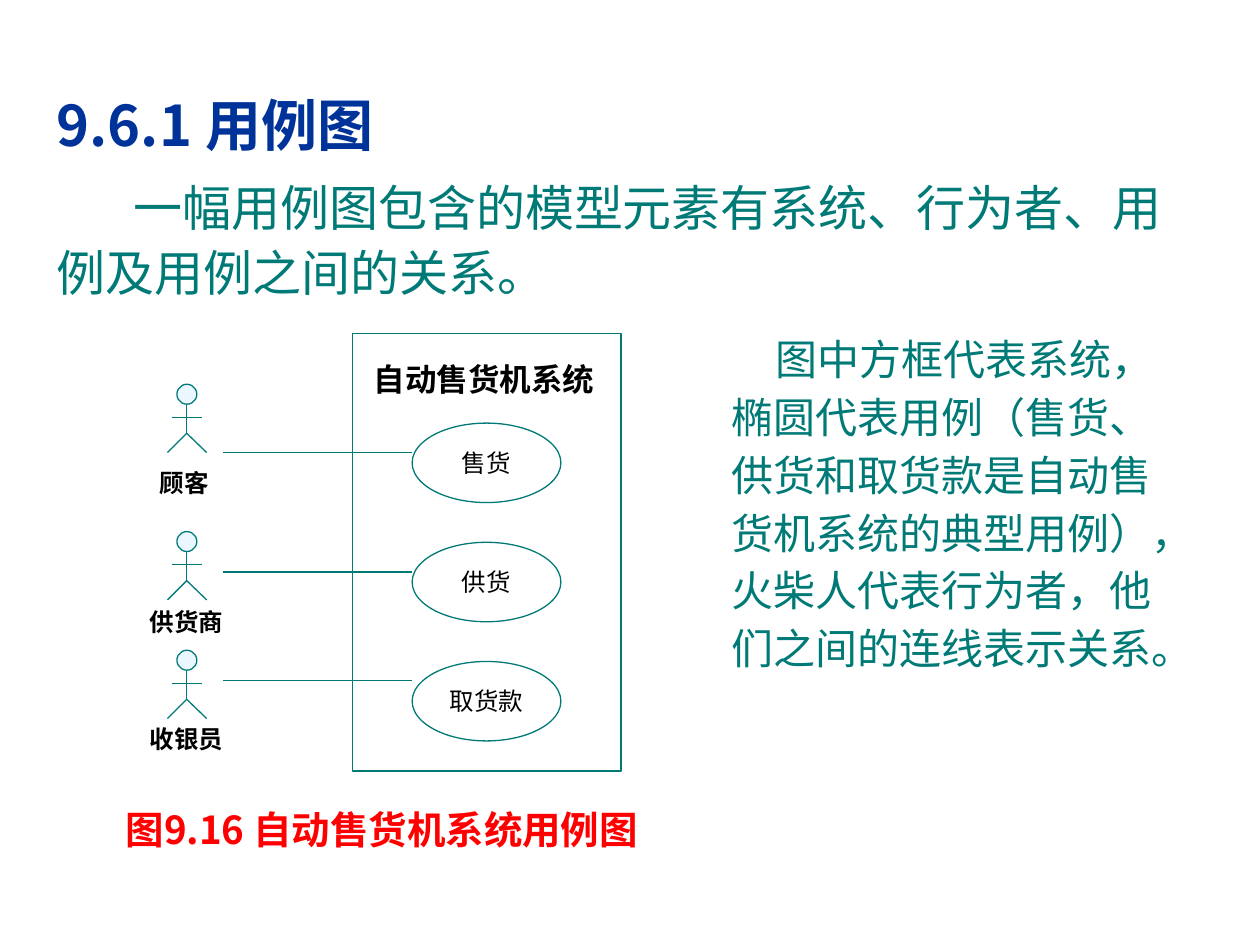
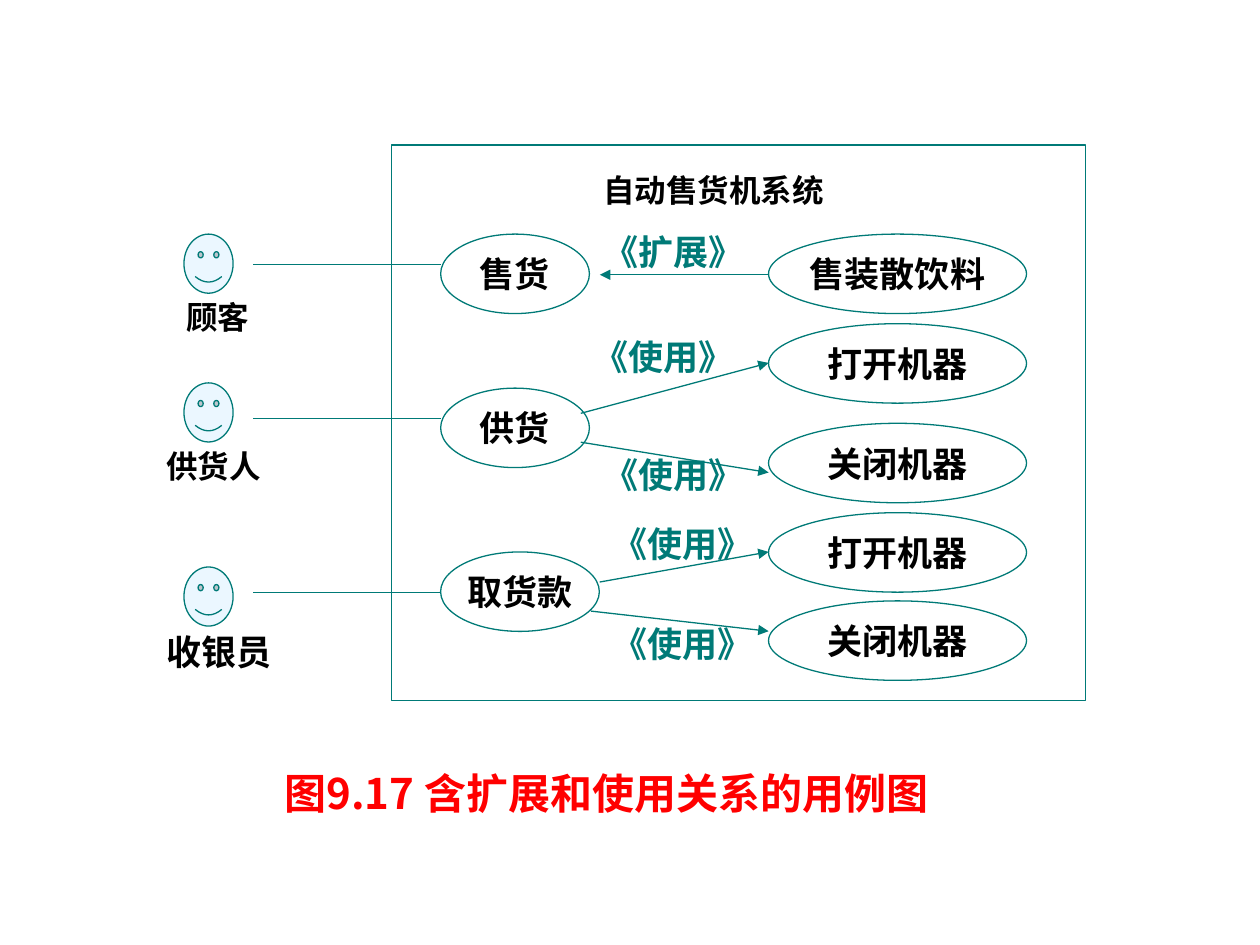
from lxml import etree
from pptx import Presentation
from pptx.dml.color import RGBColor
from pptx.enum.shapes import MSO_CONNECTOR, MSO_SHAPE
from pptx.enum.text import MSO_ANCHOR, MSO_AUTO_SIZE, PP_ALIGN
from pptx.oxml.ns import qn
from pptx.util import Pt

RECTANGLE, OVAL, SMILEY = MSO_SHAPE.RECTANGLE, MSO_SHAPE.OVAL, MSO_SHAPE.SMILEY_FACE
STRAIGHT = MSO_CONNECTOR.STRAIGHT
TOP, MIDDLE = MSO_ANCHOR.TOP, MSO_ANCHOR.MIDDLE
LEFT, CENTER = PP_ALIGN.LEFT, PP_ALIGN.CENTER
NO_AUTOFIT = MSO_AUTO_SIZE.NONE

COLORS = {
    "heading": "003399",
    "teal": "007A77",
    "ink": "000000",
    "caption": "FF0000",
    "paper": "FFFFFF",
    "actor": "EBF7FF",
}
LATIN, CJK = "Arial", "Noto Sans CJK SC"
LINE_WIDTH = 0.75
CASE_HEIGHT = 45.4
SYSTEM_NAME = "自动售货机系统"


def color(name):
    return RGBColor.from_string(COLORS[name])


def write(holder, text, size=20, ink="ink", bold=True, font=LATIN, align=LEFT,
          anchor=TOP, wrap=True, spacing=1.0, indent=0):
    frame = holder.text_frame
    frame.auto_size = NO_AUTOFIT
    frame.word_wrap = wrap
    frame.vertical_anchor = anchor
    paragraph = frame.paragraphs[0]
    paragraph.alignment = align
    paragraph.line_spacing = spacing
    paragraph.space_before = Pt(0)
    properties = paragraph._p.get_or_add_pPr()
    properties.set("marL", "0")
    properties.set("indent", str(Pt(indent)))
    etree.SubElement(properties, qn("a:buNone"))
    run = paragraph.add_run()
    run.text = text
    run.font.size = Pt(size)
    run.font.bold = bold
    run.font.name = font
    run.font.color.rgb = color(ink)
    east_asian = etree.SubElement(run._r.get_or_add_rPr(), qn("a:ea"))
    east_asian.set("typeface", CJK)


def fill_placeholder(placeholder, box, text, **style):
    placeholder.left, placeholder.top, placeholder.width, placeholder.height = map(Pt, box)
    write(placeholder, text, **style)


def add_label(slide, box, text, **style):
    write(slide.shapes.add_textbox(*map(Pt, box)), text, **style)


def add_outline(slide, kind, box, fill="paper"):
    outline = slide.shapes.add_shape(kind, *map(Pt, box))
    outline.shadow.inherit = False
    outline.fill.solid()
    outline.fill.fore_color.rgb = color(fill)
    outline.line.color.rgb = color("teal")
    outline.line.width = Pt(LINE_WIDTH)
    return outline


def add_line(slide, start, end, arrow=False):
    link = slide.shapes.add_connector(STRAIGHT, *map(Pt, start + end))
    link.line.color.rgb = color("teal")
    link.line.width = Pt(LINE_WIDTH)
    if arrow:
        etree.SubElement(link.line._get_or_add_ln(), qn("a:tailEnd")).set("type", "triangle")
    etree.SubElement(link._element.spPr, qn("a:effectLst"))


def add_system(slide, box, name_offset):
    left, top, _, _ = box
    add_outline(slide, RECTANGLE, box)
    add_label(slide, (left + name_offset, top + 11.5, 142, 29), SYSTEM_NAME, size=18)


def add_use_case(slide, left, top, width, name, **style):
    case = add_outline(slide, OVAL, (left, top, width, CASE_HEIGHT))
    write(case, name, align=CENTER, anchor=MIDDLE, wrap=False, **style)


def add_stick_figure(slide, left, top):
    middle, neck, arms, hip, feet = left + 11, top + 11.4, top + 18.8, top + 28, top + 39
    add_outline(slide, OVAL, (middle - 5.6, top, 11.4, 11.4), "actor")
    add_line(slide, (left + 2.8, arms), (left + 19.6, arms))
    add_line(slide, (middle, neck), (middle, hip))
    for foot in (left, left + 22.4):
        add_line(slide, (middle, hip), (foot, feet))


def add_caption(slide, box, text, size):
    add_label(slide, box, text, size=size, ink="caption", font=CJK)


def add_simple_diagram(slide, left, top):
    system_left, case_left = left + 123, left + 157
    add_system(slide, (system_left, top, 153.4, 249.8), 5)
    rows = [
        ("顾客", "售货", 28.8, (5.6, 73.4), 67.8),
        ("供货商", "供货", 113, (0, 152.6), 136.1),
        ("收银员", "取货款", 180.8, (0, 219.6), 198),
    ]
    for index, (actor, case, figure_y, (name_x, name_y), link_y) in enumerate(rows):
        add_use_case(slide, case_left, top + 51 + 68.1 * index, 85, case, size=14, bold=False)
        add_stick_figure(slide, left + 17.2, top + figure_y)
        add_label(slide, (left + name_x, top + name_y, 85, 24.5), actor, size=14)
        add_line(slide, (left + 49, top + link_y), (case_left, top + link_y))


def add_extended_diagram(slide, left, top):
    system_left, case_left, detail_left = left + 136, left + 164, left + 351.4
    add_system(slide, (system_left, top, 396.7, 317.5), 113.8)
    rows = [
        ("顾客", 18, 11.6, "售货", 85, 51, 51, 68.4),
        ("供货人", 18, 0, "供货", 85, 139, 136, 156.2),
        ("收银员", 20, 0, "取货款", 90.7, 232.6, 241.2, 255.6),
    ]
    for actor, size, name_x, case, case_width, case_y, face_y, link_y in rows:
        add_use_case(slide, case_left, top + case_y, case_width, case)
        add_outline(slide, SMILEY, (left + 17.3, top + face_y, 28.1, 33.8), "actor")
        add_label(slide, (left + name_x, top + face_y + 33, 85, 30), actor, size=size)
        add_line(slide, (left + 57, top + link_y), (case_left, top + link_y))

    details = [
        ("售装散饮料", 51), ("打开机器", 102.2), ("关闭机器", 159.1),
        ("打开机器", 210.2), ("关闭机器", 260.6),
    ]
    for detail, detail_y in details:
        add_use_case(slide, detail_left, top + detail_y, 147.4, detail)

    relations = [
        ("《扩展》", (249.9, 45.4), (351.4, 74.2), (255, 74.2)),
        ("《使用》", (244.1, 105.1), (244.1, 153.4), (351.4, 124.6)),
        ("《使用》", (249.9, 172.8), (244.1, 169.9), (351.4, 187.2)),
        ("《使用》", (254.9, 212.4), (254.9, 249.8), (351.4, 232.6)),
        ("《使用》", (254.9, 269.3), (249.9, 266.4), (351.4, 277.9)),
    ]
    for relation, (name_x, name_y), (x1, y1), (x2, y2) in relations:
        add_line(slide, (left + x1, top + y1), (left + x2, top + y2), arrow=True)
        add_label(slide, (left + name_x, top + name_y, 102, 31.7), relation, ink="teal")


def build_use_case_slide(deck):
    slide = deck.slides.add_slide(deck.slide_layouts[3])
    heading, introduction, explanation = list(slide.placeholders)[:3]
    for unused in list(slide.placeholders)[3:]:
        unused._element.getparent().remove(unused._element)
    fill_placeholder(heading, (25.2, 48.2, 669, 46), "9.6.1 用例图",
                     size=32, ink="heading", font=CJK)
    fill_placeholder(introduction, (25.2, 94.7, 669, 82),
                     "一幅用例图包含的模型元素有系统、行为者、用例及用例之间的关系。",
                     size=28, ink="teal", bold=False, spacing=1.1, indent=44)
    fill_placeholder(explanation, (411, 182.5, 266.4, 242),
                     "图中方框代表系统，椭圆代表用例（售货、供货和取货款是自动售货机系统的典型用例），"
                     "火柴人代表行为者，他们之间的连线表示关系。",
                     size=24, ink="teal", bold=False, font=CJK, spacing=1.15, indent=25)
    add_simple_diagram(slide, 78.5, 190.8)
    add_caption(slide, (64.8, 457.2, 330, 60), "图9.16 自动售货机系统用例图", 22)


def build_relations_slide(deck):
    slide = deck.slides.add_slide(deck.slide_layouts[6])
    add_extended_diagram(slide, 87.8, 82.8)
    add_caption(slide, (155.5, 434.9, 408, 65), "图9.17 含扩展和使用关系的用例图", 24)


def main():
    deck = Presentation()
    deck.slide_width, deck.slide_height = Pt(720), Pt(540)
    build_use_case_slide(deck)
    build_relations_slide(deck)
    deck.save("out.pptx")


if __name__ == "__main__":
    main()
